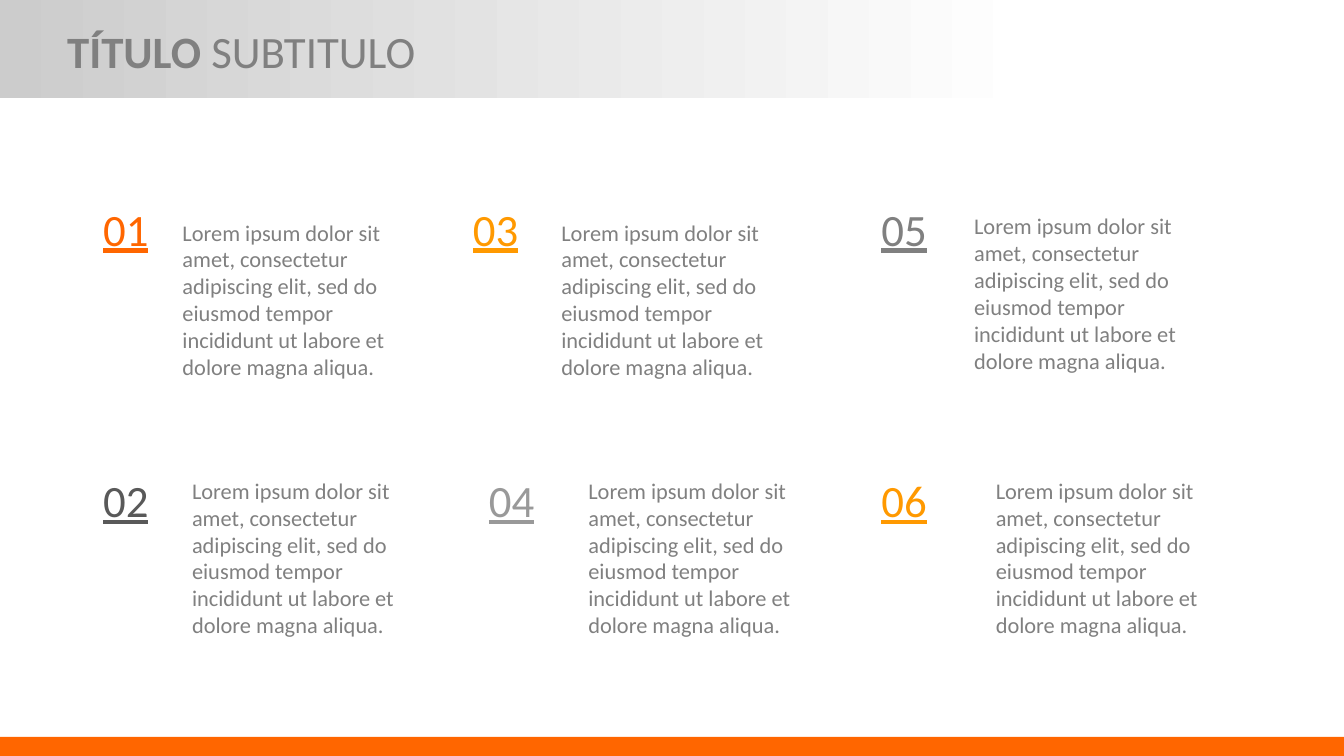
from pptx import Presentation
from pptx.dml.color import RGBColor
from pptx.enum.shapes import MSO_SHAPE
from pptx.enum.text import MSO_ANCHOR, MSO_AUTO_SIZE
from pptx.util import Cm, Pt

RECT = MSO_SHAPE.RECTANGLE
MIDDLE = MSO_ANCHOR.MIDDLE
TOP = MSO_ANCHOR.TOP
GROW = MSO_AUTO_SIZE.SHAPE_TO_FIT_TEXT
FIXED = MSO_AUTO_SIZE.NONE

WIDE, HIGH = 25.4, 14.29
GREY = "808080"
ORANGE = "FF6600"
AMBER = "FF9900"
LOREM = ("Lorem ipsum dolor sit amet, consectetur adipiscing elit, sed do "
         "eiusmod tempor incididunt ut labore et dolore magna aliqua.")

ITEMS = [
    ("01", ORANGE, (1.7, 3.68), (3.2, 4.01)),
    ("02", "595959", (1.7, 8.81), (3.38, 8.89)),
    ("03", AMBER, (8.69, 3.68), (10.36, 4.01)),
    ("04", "999999", (8.99, 8.81), (10.87, 8.89)),
    ("05", GREY, (16.41, 3.68), (18.16, 3.89)),
    ("06", AMBER, (16.41, 8.81), (18.57, 8.89)),
]


def color(code):
    return RGBColor.from_string(code)


class Deck:
    """Holds the text style and the current slide, and draws its elements."""

    base = {"name": "Calibri", "size": Pt(12)}

    def __init__(self, slide):
        self.slide = slide

    def bar(self, top, height):
        shape = self.slide.shapes.add_shape(RECT, 0, Cm(top), Cm(WIDE), Cm(height))
        shape.shadow.inherit = False
        shape.line.fill.background()
        return shape.fill

    def solid(self, top, height, code):
        fill = self.bar(top, height)
        fill.solid()
        fill.fore_color.rgb = color(code)

    def fade(self, top, height, stops):
        fill = self.bar(top, height)
        fill.gradient()
        fill.gradient_angle = 180
        for stop, (place, code) in zip(fill.gradient_stops, stops):
            stop.position = place
            stop.color.rgb = color(code)

    def text(self, spot, size, runs, code=GREY, anchor=TOP, fit=GROW):
        box = self.slide.shapes.add_textbox(*map(Cm, spot + size))
        frame = box.text_frame
        look = {"word_wrap": True, "auto_size": fit, "vertical_anchor": anchor}
        for key, value in look.items():
            setattr(frame, key, value)
        for words, style in runs:
            run = frame.paragraphs[0].add_run()
            run.text = words
            for key, value in {**self.base, **style}.items():
                setattr(run.font, key, value)
            run.font.color.rgb = color(code)

    def item(self, label, code, spot, body):
        style = {"size": Pt(24), "underline": True}
        self.text(spot, (2.18, 1.27), [(label, style)], code)
        self.text(body, (5.05, 3.33), [(LOREM, {})])

    def title(self, strong, light):
        runs = [(strong, {"size": Pt(24), "bold": True}),
                (light, {"size": Pt(24), "bold": False})]
        self.text((1.02, -0.23), (16.13, 2.39), runs, anchor=MIDDLE, fit=FIXED)


def main():
    show = Presentation()
    show.slide_width, show.slide_height = Cm(WIDE), Cm(HIGH)
    deck = Deck(show.slides.add_slide(show.slide_layouts[6]))
    deck.fade(0, 1.85, [(0.23, "FFFFFF"), (1, "CCCCCC")])
    for item in ITEMS:
        deck.item(*item)
    deck.solid(13.93, 0.36, ORANGE)
    deck.title("TÍTULO", " SUBTITULO")
    show.save("out.pptx")


if __name__ == "__main__":
    main()
